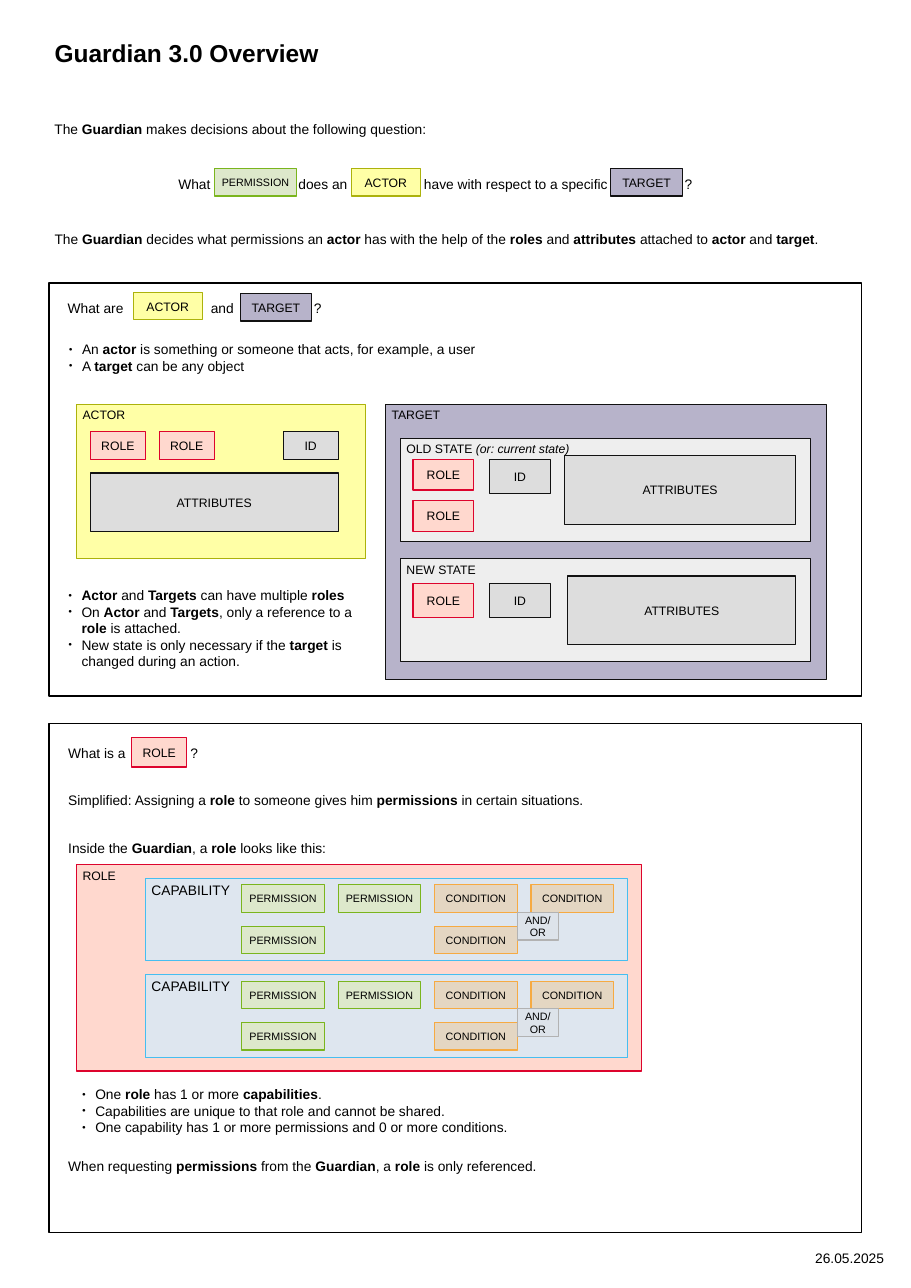
from lxml import etree
from pptx import Presentation, util as u
from pptx.dml.color import RGBColor
from pptx.enum import shapes, text
from pptx.oxml.ns import qn

PX = 9144

theme = {
    "font": "Arial",
    "ink": "000000",
    "title": 32,
    "body": 18,
    "frame": "000000",
    "border": 1.5,
    "bullet_scale": 45,
    "boxes": {
        "ACTOR": ("FFFFA6", "ACB20C", 100, 16),
        "TARGET": ("B7B3CA", "111111", 100, 16),
        "ROLE": ("FFD8CE", "DD042D", 100, 16),
        "ID": ("DDDDDD", "111111", 100, 16),
        "ATTRIBUTES": ("DDDDDD", "111111", 100, 16),
        "OLD STATE (or: current state)": ("EEEEEE", "111111", 100, 16),
        "NEW STATE": ("EEEEEE", "111111", 100, 16),
        "CAPABILITY": ("DEE6EF", "46BEF0", 100, 18),
        "PERMISSION": ("DDE8CB", "7AB51D", 100, 14),
        "CONDITION": ("F6AA42", "F6AA42", 26, 14),
        "AND/OR": ("DDDDDD", "B2B2B2", 26, 14),
    },
}

deck = Presentation()
deck.slide_width, deck.slide_height = 1654 * PX, 2339 * PX
page = deck.slides.add_slide(deck.slide_layouts[4])


def write(shape, lines, size, margins=(10, 5), align="LEFT", anchor="TOP"):
    frame = shape.text_frame
    frame.word_wrap = True
    frame.auto_size = text.MSO_AUTO_SIZE.NONE
    frame.vertical_anchor = text.MSO_ANCHOR[anchor]
    frame.margin_left = frame.margin_right = margins[0] * PX
    frame.margin_top = frame.margin_bottom = margins[1] * PX
    for number, line in enumerate(lines):
        para = frame.add_paragraph() if number else frame.paragraphs[0]
        para.alignment = text.PP_ALIGN[align]
        para.space_before = u.Pt(0)
        for part, words in enumerate(line.split("*")):
            if words:
                span = para.add_run()
                span.text = words
                span.font.name = theme["font"]
                span.font.size = u.Pt(size)
                span.font.bold = part % 2 == 1
                span.font.italic = words.startswith("(")
                span.font.color.rgb = RGBColor.from_string(theme["ink"])


def box(label, left, top, width, height, container=False):
    fill, line, opacity, size = theme["boxes"][label]
    shape = page.shapes.add_shape(
        shapes.MSO_SHAPE.RECTANGLE, left * PX, top * PX, width * PX, height * PX)
    shape.shadow.inherit = False
    shape.fill.solid()
    shape.fill.fore_color.rgb = RGBColor.from_string(fill)
    if opacity < 100:
        color = shape.fill._xPr.find(qn("a:solidFill"))[0]
        etree.SubElement(color, qn("a:alpha"), val=str(opacity * 1000))
    shape.line.color.rgb = RGBColor.from_string(line)
    shape.line.width = u.Pt(theme["border"])
    align, anchor = ("LEFT", "TOP") if container else ("CENTER", "MIDDLE")
    write(shape, [label.replace("(", "**(")], size, (11, 6), align, anchor)


title = page.shapes.title
title.left, title.top, title.width, title.height = 89 * PX, 64 * PX, 1475 * PX, 60 * PX
write(title, ["*Guardian 3.0 Overview*"], theme["title"])

bodies = [
    (1, 89, 414, 1475, 100, False, [
        "The *Guardian* decides what permissions an *actor* has with the help of the "
        "*roles* and *attributes* attached to *actor* and *target*."]),
    (2, 115, 614, 999, 122, True, [
        "An *actor* is something or someone that acts, for example, a user",
        "A *target* can be any object"]),
    (3, 114, 1061, 575, 178, True, [
        "*Actor* and *Targets* can have multiple *roles*",
        "On *Actor* and *Targets*, only a reference to a *role* is attached.",
        "New state is only necessary if the *target* is changed during an action."]),
    (4, 139, 1967, 950, 122, True, [
        "One *role* has 1 or more *capabilities*.",
        "Capabilities are unique to that role and cannot be shared.",
        "One capability has 1 or more permissions and 0 or more conditions."]),
]
for slot, left, top, width, height, bulleted, lines in bodies:
    body = page.placeholders[slot]
    body.left, body.top, body.width, body.height = left * PX, top * PX, width * PX, height * PX
    write(body, lines, theme["body"])
    for para in body.text_frame.paragraphs:
        props = para._p.get_or_add_pPr()
        indent = 24 * PX if bulleted else 0
        props.set("marL", str(indent))
        props.set("indent", str(-indent))
        if bulleted:
            tint = etree.SubElement(props, qn("a:buClr"))
            etree.SubElement(tint, qn("a:srgbClr"), val=theme["ink"])
            etree.SubElement(props, qn("a:buSzPct"), val=str(theme["bullet_scale"] * 1000))
            etree.SubElement(props, qn("a:buChar"), char="●")
        else:
            etree.SubElement(props, qn("a:buNone"))

for top, height in ((514, 750), (1314, 925)):
    panel = page.shapes.add_shape(
        shapes.MSO_SHAPE.RECTANGLE, 89 * PX, top * PX, 1475 * PX, height * PX)
    panel.shadow.inherit = False
    panel.fill.background()
    panel.line.color.rgb = RGBColor.from_string(theme["frame"])
    panel.line.width = u.Pt(theme["border"])

captions = [
    ("The *Guardian* makes decisions about the following question:", 89, 214, 800),
    ("What", 314, 314, 90),
    ("does an", 532, 314, 120),
    ("have with respect to a specific", 760, 314, 370),
    ("?", 1233, 314, 50),
    ("What are", 113, 539, 130),
    ("and", 373, 539, 70),
    ("?", 560, 539, 50),
    ("What is a", 114, 1347, 130),
    ("?", 336, 1347, 50),
    ("Simplified: Assigning a *role* to someone gives him *permissions* in certain situations.",
     114, 1432, 1225),
    ("Inside the *Guardian*, a *role* looks like this:", 114, 1520, 725),
    ("When requesting *permissions* from the *Guardian*, a *role* is only referenced.",
     114, 2098, 1325),
    ("26.05.2025", 1014, 2264, 601),
]
for words, left, top, width in captions:
    caption = page.shapes.add_textbox(left * PX, top * PX, width * PX, 38 * PX)
    write(caption, [words], theme["body"], align="RIGHT" if words[0].isdigit() else "LEFT")

box("PERMISSION", 389, 306, 150, 50)
box("ACTOR", 638, 306, 125, 50)
box("TARGET", 1109, 306, 130, 50)
box("ACTOR", 242, 531, 125, 50)
box("TARGET", 436, 533, 130, 50)
box("ROLE", 239, 1339, 100, 54)

box("ACTOR", 139, 734, 525, 281, container=True)
for label, left in (("ROLE", 164), ("ROLE", 289), ("ID", 514)):
    box(label, left, 784, 100, 50)
box("ATTRIBUTES", 164, 859, 450, 106)

box("TARGET", 700, 734, 800, 500, container=True)
box("OLD STATE (or: current state)", 727, 796, 745, 187, container=True)
box("NEW STATE", 727, 1015, 745, 187, container=True)
for top, role_height in ((834, 56), (909, 56), (1059, 63)):
    box("ROLE", 750, top, 110, role_height)
for top in (834, 1059):
    box("ID", 889, top, 110, 63)
box("ATTRIBUTES", 1025, 827, 420, 125)
box("ATTRIBUTES", 1031, 1046, 414, 125)

box("ROLE", 139, 1570, 1025, 375, container=True)
for top in (1595, 1770):
    box("CAPABILITY", 264, top, 875, 150, container=True)
    for label, left, drop in (
            ("PERMISSION", 439, 12), ("PERMISSION", 614, 12), ("PERMISSION", 439, 87),
            ("CONDITION", 789, 12), ("CONDITION", 964, 12), ("CONDITION", 789, 87)):
        box(label, left, top + drop, 150, 50)
    box("AND/OR", 939, top + 62, 75, 50)

deck.save("out.pptx")
